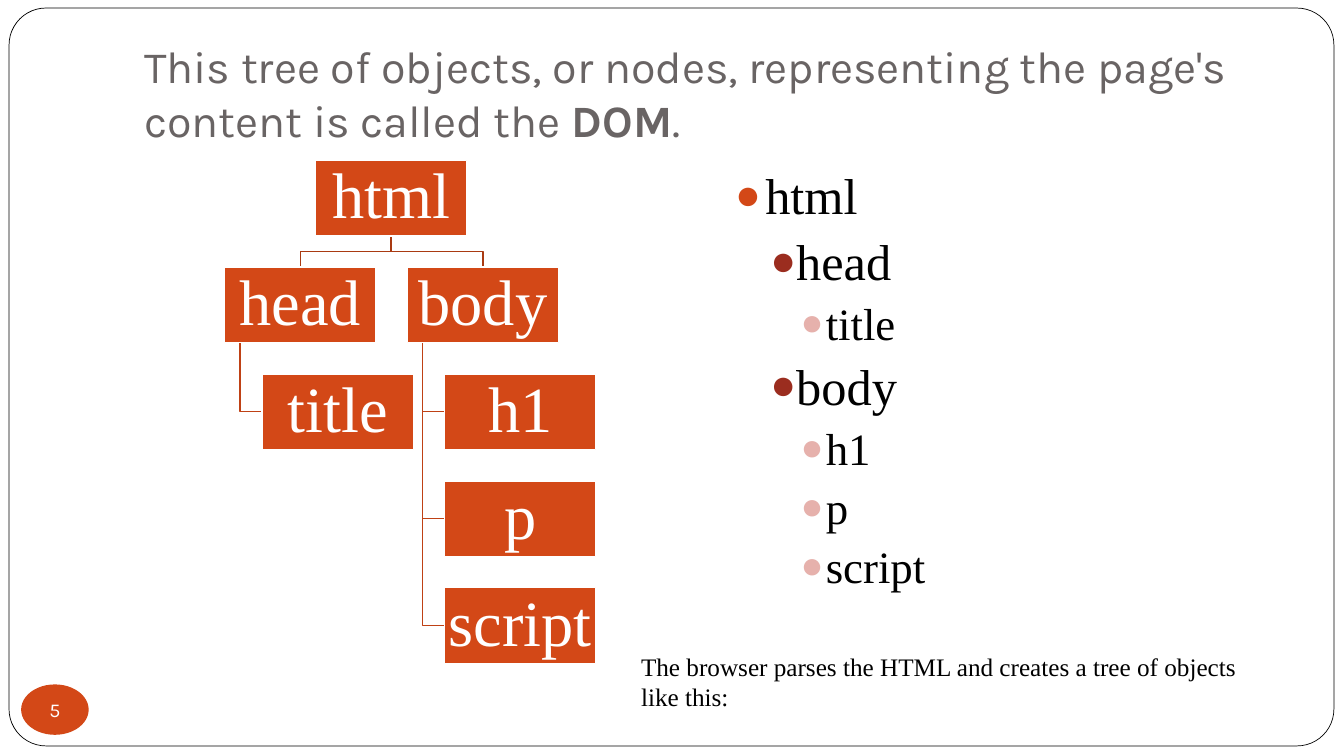
import pptx
import pptx.dml.color
import pptx.enum.shapes
import pptx.enum.text
import pptx.oxml
import pptx.oxml.ns
import pptx.util
from pptx.util import Inches

RGBColor = pptx.dml.color.RGBColor
Shape = pptx.enum.shapes.MSO_SHAPE
Align = pptx.enum.text.PP_ALIGN
Anchor = pptx.enum.text.MSO_ANCHOR

ORANGE = RGBColor(0xD3, 0x48, 0x17)
BRANCH = RGBColor(0xA9, 0x3A, 0x12)
TWIG = RGBColor(0xBF, 0x41, 0x15)
BRICK = RGBColor(0x9B, 0x2D, 0x1F)
PINK = RGBColor(0xE6, 0xB1, 0xAC)
GREY = RGBColor(0x69, 0x64, 0x64)
BLACK = RGBColor(0, 0, 0)
WHITE = RGBColor(255, 255, 255)

NODE_WIDTH, NODE_HEIGHT = 1.5, 0.75
TREE_TOP, ROW_STEP = 1.59, 1.06
# name: (left, row, parent)
NODES = {
    "html": (3.13, 0, None),
    "head": (2.23, 1, "html"),
    "title": (2.6, 2, "head"),
    "body": (4.04, 1, "html"),
    "h1": (4.41, 2, "body"),
    "p": (4.41, 3, "body"),
    "script": (4.41, 4, "body"),
}
# per level: left margin, first-line indent, bullet colour, text size
LEVELS = [(0.3, -0.3, ORANGE, 36), (0.6, -0.25, BRICK, 36), (0.9, -0.25, PINK, 32)]
OUTLINE = [("html", 0), ("head", 1), ("title", 2), ("body", 1),
           ("h1", 2), ("p", 2), ("script", 2)]


class SlideBuilder:
    heading_font = "Karla"
    text_font = "Times New Roman"

    def __init__(self, page):
        self.page = page

    def span(self, para, text, size, color, font=None, bold=False):
        span = para.add_run()
        span.text = text
        span.font.name = font or self.text_font
        span.font.size = pptx.util.Pt(size)
        span.font.color.rgb = color
        span.font.bold = bold

    def place(self, shape, left, top, width, height):
        shape.left, shape.top = Inches(left), Inches(top)
        shape.width, shape.height = Inches(width), Inches(height)

    def shape(self, kind, left, top, width, height, fill, line=None, weight=1):
        shape = self.page.shapes.add_shape(
            kind, Inches(left), Inches(top), Inches(width), Inches(height))
        shape.shadow.inherit = False
        shape.fill.solid()
        shape.fill.fore_color.rgb = fill
        if line is None:
            shape.line.fill.background()
        else:
            shape.line.color.rgb = line
            shape.line.width = pptx.util.Pt(weight)
        return shape

    def label(self, shape, text, size, inset, font=None, wrap=True):
        """Write one centred white line inside a shape."""
        frame = shape.text_frame
        frame.word_wrap = wrap
        frame.vertical_anchor = Anchor.MIDDLE
        frame.margin_left = frame.margin_right = Inches(inset)
        frame.margin_top = frame.margin_bottom = Inches(inset)
        para = frame.paragraphs[0]
        para.alignment = Align.CENTER
        self.span(para, text, size, WHITE, font)
        return para

    def title(self, parts):
        title = self.page.shapes.title
        self.place(title, 1.33, 0.3, 11.33, 1.25)
        frame = title.text_frame
        frame.word_wrap = True
        frame.auto_size = pptx.enum.text.MSO_AUTO_SIZE.NONE
        frame.vertical_anchor = Anchor.BOTTOM
        frame.margin_bottom = Inches(0.1)
        para = frame.paragraphs[0]
        para.alignment = Align.LEFT
        for text, bold in parts:
            self.span(para, text, 32, GREY, self.heading_font, bold)

    def polyline(self, points, color):
        (start_x, start_y), *rest = [(Inches(x), Inches(y)) for x, y in points]
        builder = self.page.shapes.build_freeform(start_x, start_y)
        builder.add_line_segments(rest, close=False)
        line = builder.convert_to_shape()
        line.shadow.inherit = False
        line.fill.background()
        line.line.color.rgb = color
        line.line.width = pptx.util.Pt(1)

    def branch(self, parent, child):
        """Draw the bent line from a parent node to its child."""
        parent_left, parent_row, grandparent = NODES[parent]
        left, row, _ = NODES[child]
        start_y = TREE_TOP + parent_row * ROW_STEP + NODE_HEIGHT
        end_y = TREE_TOP + row * ROW_STEP
        if grandparent is None:
            start_x, end_x = parent_left + NODE_WIDTH / 2, left + NODE_WIDTH / 2
            middle = (start_y + end_y) / 2
            self.polyline([(start_x, start_y), (start_x, middle),
                           (end_x, middle), (end_x, end_y)], BRANCH)
        else:
            start_x, end_y = parent_left + 0.15, end_y + NODE_HEIGHT / 2
            self.polyline([(start_x, start_y), (start_x, end_y), (left, end_y)], TWIG)

    def tree(self):
        for name, (_, _, parent) in NODES.items():
            if parent:
                self.branch(parent, name)
        for name, (left, row, _) in NODES.items():
            node = self.shape(Shape.RECTANGLE, left, TREE_TOP + row * ROW_STEP,
                              NODE_WIDTH, NODE_HEIGHT, ORANGE, WHITE)
            self.label(node, name, 46, 0.03).line_spacing = 0.9

    def bullet(self, para, level):
        margin, indent, color, _ = LEVELS[level]
        properties = para._p.get_or_add_pPr()
        properties.set("marL", str(Inches(margin)))
        properties.set("indent", str(Inches(indent)))
        namespace = pptx.oxml.ns.nsdecls("a")
        for xml in (f'<a:buClr {namespace}><a:srgbClr val="{color}"/></a:buClr>',
                    f'<a:buSzPct {namespace} val="85000"/>',
                    f'<a:buFont {namespace} typeface="Arial"/>',
                    f'<a:buChar {namespace} char="●"/>'):
            properties.append(pptx.oxml.parse_xml(xml))

    def outline(self, items):
        body = self.page.placeholders[1]
        self.place(body, 7.19, 1.58, 5.47, 5)
        frame = body.text_frame
        frame.word_wrap = True
        frame.auto_size = pptx.enum.text.MSO_AUTO_SIZE.NONE
        for index, (text, level) in enumerate(items):
            para = frame.add_paragraph() if index else frame.paragraphs[0]
            para.level = level
            self.bullet(para, level)
            para.space_before = pptx.util.Pt(3.7 if index else 0)
            self.span(para, text, LEVELS[level][3], BLACK)

    def caption(self, text):
        box = self.page.shapes.add_textbox(
            Inches(6.26), Inches(6.41), Inches(6.4), Inches(0.4))
        box.text_frame.word_wrap = True
        self.span(box.text_frame.paragraphs[0], text, 18, BLACK)


def main():
    deck = pptx.Presentation()
    deck.slide_width, deck.slide_height = Inches(13.33), Inches(7.5)
    slide = SlideBuilder(deck.slides.add_slide(deck.slide_layouts[1]))

    frame = slide.shape(Shape.ROUNDED_RECTANGLE, 0.09, 0.08, 13.14, 7.32,
                        WHITE, BLACK, 0.5)
    frame.adjustments[0] = 0.05
    tree = slide.page.shapes._spTree
    tree.remove(frame._element)
    tree.insert(2, frame._element)  # behind the placeholders

    slide.title([
        ("This tree of objects, or nodes, representing the page's "
         "content is called the ", False),
        ("DOM", True),
        (".", False),
    ])
    slide.tree()
    slide.outline(OUTLINE)
    slide.caption("The browser parses the HTML and creates a tree of objects like this:")
    badge = slide.shape(Shape.OVAL, 0.21, 6.79, 0.67, 0.5, ORANGE)
    slide.label(badge, "5", 14, 0, slide.heading_font, wrap=False)
    deck.save("out.pptx")


if __name__ == "__main__":
    main()
